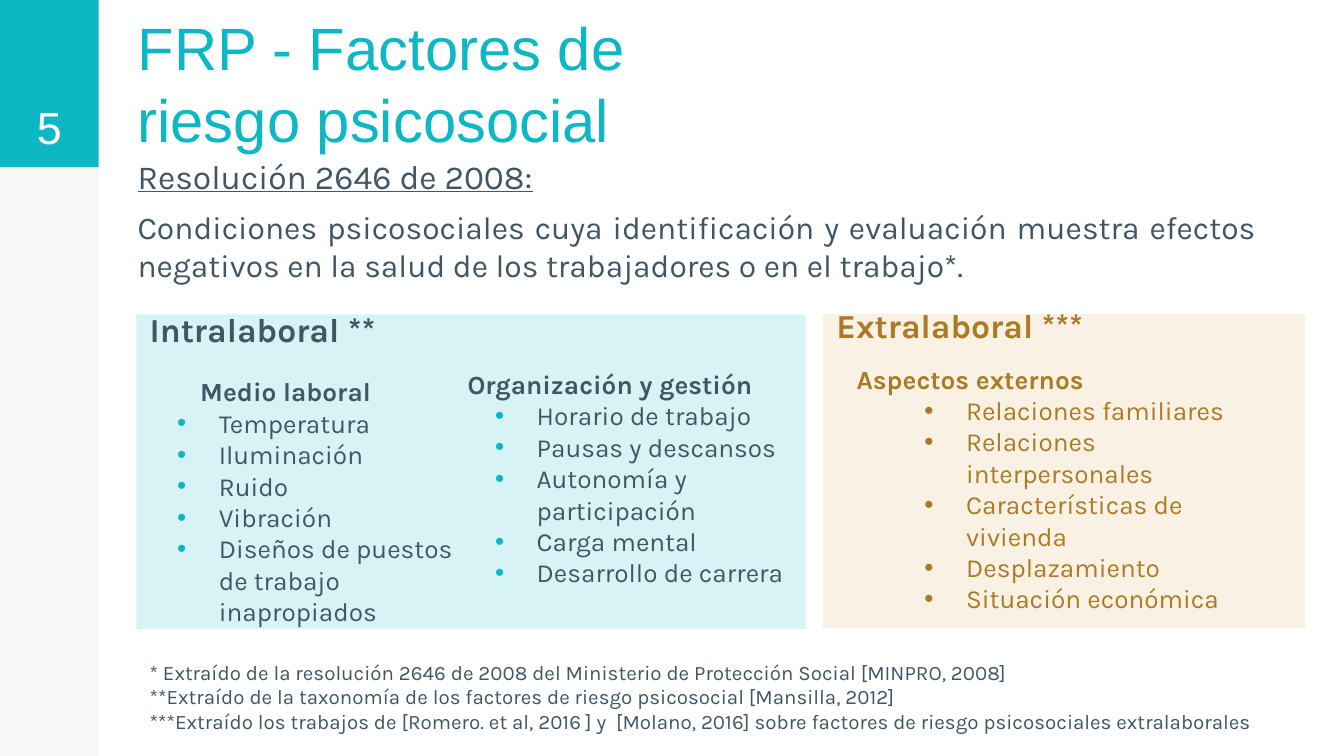
from lxml.etree import SubElement
from pptx import Presentation
from pptx.dml.color import RGBColor
from pptx.enum.shapes import MSO_SHAPE
from pptx.enum.text import MSO_ANCHOR, PP_ALIGN
from pptx.oxml.ns import qn
from pptx.util import Pt

PX = 4572  # 200 px to the inch
TEAL, SLATE, BROWN, SAND = "0DB7C4", "415665", "AB7A22", "E8C588"
BODY = dict(name="Karla", color=SLATE)

SIDEBAR = [((0, 0, 147, 1125), "000000", 3), ((0, 0, 147, 249), TEAL, 100)]
TITLE = "FRP - Factores de riesgo psicosocial"
NUMBER = "5"
INTRO = [
    ("Resolución 2646 de 2008:", dict(BODY, size=18, underline=True)),
    ("Condiciones psicosociales cuya identificación y evaluación muestra efectos "
     "negativos en la salud de los trabajadores o en el trabajo*.", dict(BODY, size=17)),
]
FOOTNOTES = [
    "* Extraído de la resolución 2646 de 2008 del Ministerio de Protección Social [MINPRO, 2008]",
    "**Extraído de la taxonomía de los factores de riesgo psicosocial [Mansilla, 2012]",
    "***Extraído los trabajos de [Romero. et al, 2016 ] y  [Molano, 2016] sobre factores de "
    "riesgo psicosociales extralaborales",
]
PANELS = [
    dict(box=(1225, 467, 717, 468), fill=SAND, alpha=22, color=BROWN, bullet=BROWN,
         heading="Extralaboral ***", heading_box=(1225, 434, 412, 66), align=PP_ALIGN.LEFT,
         lists=[((1255, 497, 654, 300), "Aspectos externos",
                 ["Relaciones familiares", "Relaciones interpersonales",
                  "Características de vivienda", "Desplazamiento", "Situación económica"])]),
    dict(box=(203, 468, 996, 468), fill=TEAL, alpha=16, color=SLATE, bullet=TEAL,
         heading="Intralaboral **", heading_box=(203, 440, 458, 66), align=PP_ALIGN.CENTER,
         lists=[((143, 516, 574, 386), "Medio laboral ",
                 ["Temperatura", "Iluminación", "Ruido", "Vibración",
                  "Diseños de puestos de trabajo inapropiados"]),
                ((616, 505, 574, 386), " Organización y gestión",
                 ["Horario de trabajo", "Pausas y descansos", "Autonomía y participación",
                  "Carga mental", "Desarrollo de carrera"])]),
]


def emu(box):
    return [v * PX for v in box]


def rgb(color):
    return RGBColor.from_string(color)


def add_rect(shapes, box, color, alpha):
    sp = shapes.add_shape(MSO_SHAPE.RECTANGLE, *emu(box))
    sp.shadow.inherit = False
    sp.line.fill.background()
    sp.fill.solid()
    sp.fill.fore_color.rgb = rgb(color)
    if alpha < 100:
        clr = sp.fill._xPr.find(".//" + qn("a:srgbClr"))
        SubElement(clr, qn("a:alpha"), val=str(alpha * 1000))


def add_bullet(p, color):
    pPr = p._p.get_or_add_pPr()
    for key, value in dict(marL=163 * PX, indent=-62 * PX, lvl=1).items():
        pPr.set(key, str(value))
    SubElement(SubElement(pPr, qn("a:buClr")), qn("a:srgbClr"), val=color)
    SubElement(pPr, qn("a:buFont"), typeface="Arial")
    SubElement(pPr, qn("a:buChar"), char="•")


def add_text(shapes, box, paras, anchor=MSO_ANCHOR.TOP, inset=20):
    """Each paragraph is (text, font values) or (text, font values, paragraph values)."""
    tf = shapes.add_textbox(*emu(box)).text_frame
    tf.word_wrap = True
    tf.vertical_anchor = anchor
    tf.margin_left = tf.margin_right = 20 * PX
    tf.margin_top = tf.margin_bottom = inset * PX
    for i, (text, font, *layout) in enumerate(paras):
        p = tf.paragraphs[0] if i == 0 else tf.add_paragraph()
        for key, value in (layout[0] if layout else {}).items():
            if key == "bullet":
                add_bullet(p, value)
            else:
                setattr(p, key, value)
        r = p.add_run()
        r.text = text
        for key, value in font.items():
            if key == "color":
                r.font.color.rgb = rgb(value)
            else:
                setattr(r.font, key, Pt(value) if key == "size" else value)


def add_panel(slide, panel):
    shapes = slide.shapes.add_group_shape().shapes
    add_rect(shapes, panel["box"], panel["fill"], panel["alpha"])
    item_font = dict(name="Karla", size=14, color=panel["color"])
    bold = dict(item_font, bold=True)
    add_text(shapes, panel["heading_box"], [(panel["heading"], dict(bold, size=18))])
    for box, name, items in panel["lists"]:
        paras = [(name, bold, dict(alignment=panel["align"], line_spacing=1.5))]
        paras += [(item, item_font, dict(bullet=panel["bullet"])) for item in items]
        add_text(shapes, box, paras)


prs = Presentation()
prs.slide_width, prs.slide_height = emu((2000, 1125))
s = prs.slides.add_slide(prs.slide_layouts[6])

for bar in SIDEBAR:
    add_rect(s.shapes, *bar)
add_text(s.shapes, (185, 1, 922, 249), [(TITLE, dict(name="Arial", size=32, color=TEAL))],
         MSO_ANCHOR.BOTTOM)
add_text(s.shapes, (0, 0, 147, 249),
         [(NUMBER, dict(name="Arial", size=24, color="FFFFFF"), dict(alignment=PP_ALIGN.CENTER))],
         MSO_ANCHOR.BOTTOM)
add_text(s.shapes, (185, 212, 1705, 244),
         [(text, font, dict(alignment=PP_ALIGN.JUSTIFY, space_before=Pt(6 if i else 0)))
          for i, (text, font) in enumerate(INTRO)])
add_text(s.shapes, (203, 972, 1740, 132),
         [(note, dict(BODY, size=11)) for note in FOOTNOTES], inset=10)
for panel in PANELS:
    add_panel(s, panel)

prs.save("out.pptx")
